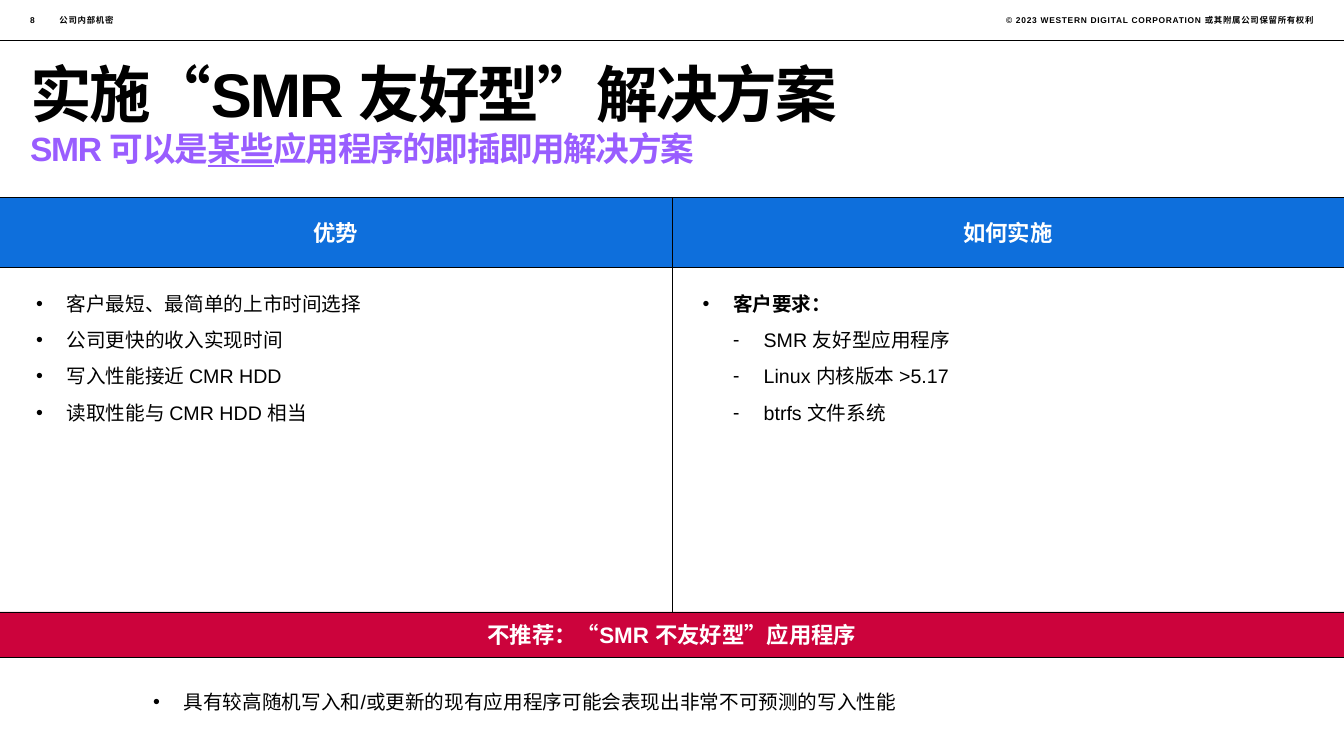
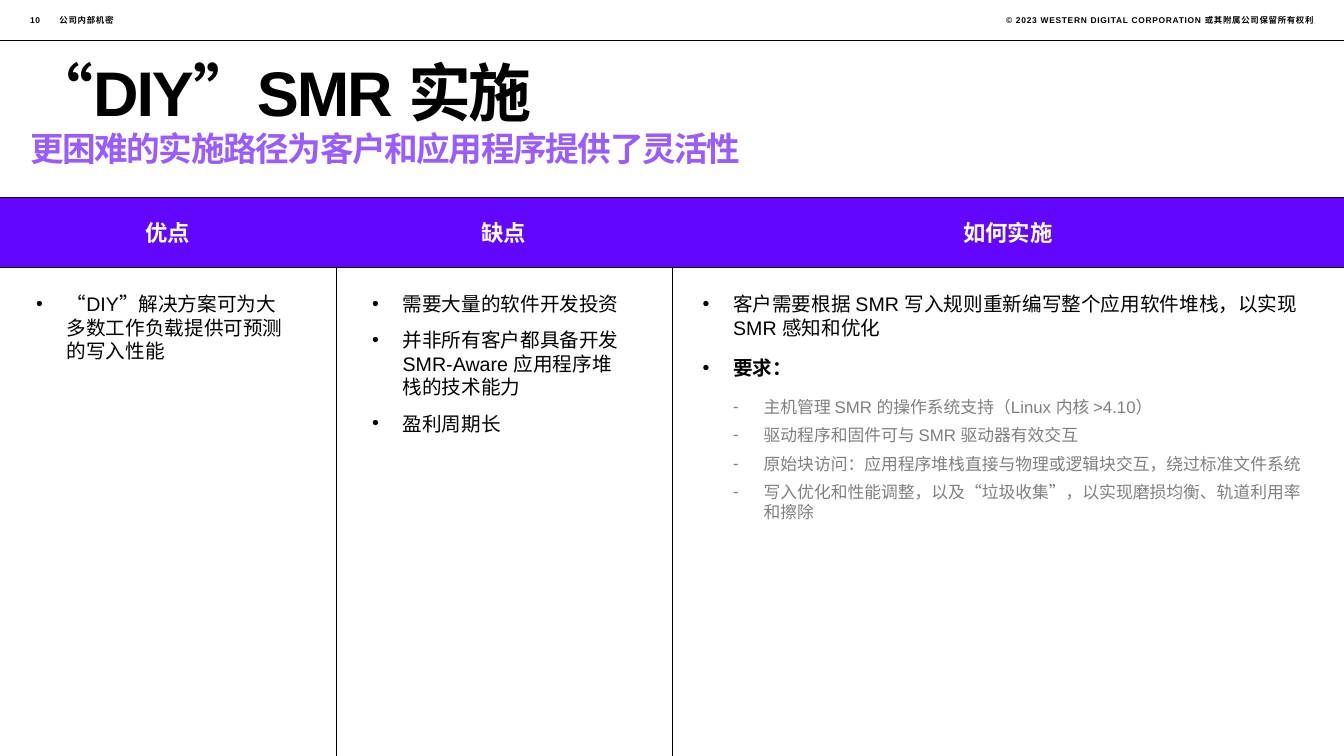
from lxml.etree import SubElement
from pptx import Presentation
from pptx.dml.color import RGBColor
from pptx.enum.lang import MSO_LANGUAGE_ID
from pptx.enum.shapes import MSO_CONNECTOR, MSO_SHAPE
from pptx.enum.text import MSO_ANCHOR, PP_ALIGN
from pptx.oxml.ns import qn
from pptx.util import Cm, Pt

BLACK = RGBColor(0x00, 0x00, 0x00)
WHITE = RGBColor(0xFF, 0xFF, 0xFF)
GRAY = RGBColor(0x80, 0x80, 0x80)
BLUE = RGBColor(0x0E, 0x6F, 0xDC)
VIOLET = RGBColor(0x62, 0x06, 0xFF)
LILAC = RGBColor(0x99, 0x5D, 0xFF)
RED = RGBColor(0xCC, 0x03, 0x3C)
FONT = "Arial"

# Layout in centimetres
WIDTH, HEIGHT = 33.87, 19.05
MARGIN = 0.76
CONTENT_WIDTH = WIDTH - 2 * MARGIN
TOP_RULE = 1.02
HEADER_TOP, HEADER_HEIGHT = 4.98, 1.75
HEADER_BOTTOM = HEADER_TOP + HEADER_HEIGHT
LIST_TOP = 7.23
BAND_TOP, BAND_HEIGHT = 15.42, 1.14
INSET_X, INSET_Y = 0.25, 0.13
INDENT = 0.77

CONFIDENTIAL = "公司内部机密"
COPYRIGHT = "© 2023 WESTERN DIGITAL CORPORATION 或其附属公司保留所有权利"

# Bullet styles: level, size, colour, bold, space after
STYLES = {
    "point": (0, 14, BLACK, False, 9),
    "lead": (0, 14, BLACK, True, 9),
    "sub": (1, 14, BLACK, False, 9),
    "wide point": (0, 14, BLACK, False, 12),
    "wide lead": (0, 14, BLACK, True, 12),
    "gray sub": (1, 12, GRAY, False, 6),
}
BULLETS = ("•", "⁃")

# Columns: heading, width in quarters of the slide, list height, bullets
SLIDES = [
    {
        "number": "8",
        "title": "实施“SMR 友好型”解决方案",
        "title_size": 44,
        "subtitle": [("SMR 可以是", False), ("某些", True),
                     ("应用程序的即插即用解决方案", False)],
        "color": BLUE,
        "divider_top": HEADER_TOP,
        "columns": [
            ("优势", 2, 4.52, [
                ("point", "客户最短、最简单的上市时间选择"),
                ("point", "公司更快的收入实现时间"),
                ("point", "写入性能接近 CMR HDD"),
                ("point", "读取性能与 CMR HDD 相当"),
            ]),
            ("如何实施", 2, 6.3, [
                ("lead", "客户要求："),
                ("sub", "SMR 友好型应用程序"),
                ("sub", "Linux 内核版本 >5.17"),
                ("sub", "btrfs 文件系统"),
            ]),
        ],
        "warning": ("不推荐：“SMR 不友好型”应用程序", [
            ("point", "具有较高随机写入和/或更新的现有应用程序可能会表现出非常不可预测的写入性能"),
        ]),
    },
    {
        "number": "10",
        "title": "“DIY”SMR 实施",
        "title_size": 45,
        "subtitle": [("更困难的实施路径为客户和应用程序提供了灵活性", False)],
        "color": VIOLET,
        "divider_top": HEADER_BOTTOM,
        "columns": [
            ("优点", 1, 2.64, [
                ("point", "“DIY”解决方案可为大多数工作负载提供可预测的写入性能"),
            ]),
            ("缺点", 1, 5.69, [
                ("point", "需要大量的软件开发投资"),
                ("point", "并非所有客户都具备开发 SMR-Aware 应用程序堆栈的技术能力"),
                ("point", "盈利周期长"),
            ]),
            ("如何实施", 2, 8.66, [
                ("wide point", "客户需要根据 SMR 写入规则重新编写整个应用软件堆栈，以实现 SMR 感知和优化"),
                ("wide lead", "要求："),
                ("gray sub", "主机管理 SMR 的操作系统支持（Linux 内核 >4.10）"),
                ("gray sub", "驱动程序和固件可与 SMR 驱动器有效交互"),
                ("gray sub", "原始块访问：应用程序堆栈直接与物理或逻辑块交互，绕过标准文件系统"),
                ("gray sub", "写入优化和性能调整，以及“垃圾收集”，以实现磨损均衡、轨道利用率和擦除"),
            ]),
        ],
        "warning": None,
    },
]


def add_run(paragraph, text, size, color, bold=True, spacing=0, underline=False):
    run = paragraph.add_run()
    run.text = text
    font = run.font
    font.name, font.size, font.bold = FONT, Pt(size), bold
    font.color.rgb = color
    font.language_id = MSO_LANGUAGE_ID.SIMPLIFIED_CHINESE
    if underline:
        font.underline = True
    if spacing:
        run.font._element.set("spc", str(int(spacing * 100)))


def add_box(slide, left, top, width, height, anchor=MSO_ANCHOR.TOP, insets=(0, 0)):
    box = slide.shapes.add_textbox(Cm(left), Cm(top), Cm(width), Cm(height))
    frame = box.text_frame
    frame.word_wrap = True
    frame.vertical_anchor = anchor
    frame.margin_left = frame.margin_right = Cm(insets[0])
    frame.margin_top = frame.margin_bottom = Cm(insets[1])
    return frame


def add_rule(slide, x1, y1, x2, y2):
    rule = slide.shapes.add_connector(
        MSO_CONNECTOR.STRAIGHT, Cm(x1), Cm(y1), Cm(x2), Cm(y2))
    rule.line.color.rgb = BLACK
    rule.line.width = Pt(0.5)
    SubElement(rule._element.spPr, qn("a:effectLst"))
    return rule


def add_band(slide, left, top, width, height, color, text):
    band = slide.shapes.add_shape(
        MSO_SHAPE.RECTANGLE, Cm(left), Cm(top), Cm(width), Cm(height))
    band.shadow.inherit = False
    band.fill.solid()
    band.fill.fore_color.rgb = color
    band.line.fill.background()
    band.text_frame.vertical_anchor = MSO_ANCHOR.MIDDLE
    paragraph = band.text_frame.paragraphs[0]
    paragraph.alignment = PP_ALIGN.CENTER
    add_run(paragraph, text, 16, WHITE)
    return band


def add_bullets(slide, left, top, width, height, items):
    frame = add_box(slide, left, top, width, height, insets=(INSET_X, INSET_Y))
    for index, (style, text) in enumerate(items):
        level, size, color, bold, space_after = STYLES[style]
        paragraph = frame.add_paragraph() if index else frame.paragraphs[0]
        paragraph.level = level
        paragraph.space_after = Pt(space_after)
        properties = paragraph._p.get_or_add_pPr()
        properties.set("marL", str(Cm(INDENT * (level + 1))))
        properties.set("indent", str(-Cm(INDENT)))
        SubElement(properties, qn("a:buFont")).set("typeface", FONT)
        SubElement(properties, qn("a:buChar")).set("char", BULLETS[level])
        add_run(paragraph, text, size, color, bold)


def add_frame(slide, content):
    # Top line with number, confidentiality and copyright
    add_rule(slide, 0, TOP_RULE, WIDTH, TOP_RULE)
    for left, width, alignment, text in (
        (MARGIN, 0.6, PP_ALIGN.LEFT, content["number"]),
        (1.5, 4.2, PP_ALIGN.LEFT, CONFIDENTIAL),
        (17.48, 15.62, PP_ALIGN.RIGHT, COPYRIGHT),
    ):
        frame = add_box(slide, left, 0.38, width, 0.26, MSO_ANCHOR.MIDDLE)
        paragraph = frame.paragraphs[0]
        paragraph.alignment = alignment
        paragraph.line_spacing = Pt(7.5)
        add_run(paragraph, text, 6, BLACK, spacing=0.5)

    # Title and subtitle
    frame = add_box(slide, MARGIN, 1.57, CONTENT_WIDTH, 1.7, MSO_ANCHOR.BOTTOM)
    frame.paragraphs[0].line_spacing = 0.85
    add_run(frame.paragraphs[0], content["title"], content["title_size"], BLACK,
            spacing=-1.5)
    frame = add_box(slide, MARGIN, 3.33, CONTENT_WIDTH, 1.14)
    frame.paragraphs[0].line_spacing = 0.9
    for text, underline in content["subtitle"]:
        add_run(frame.paragraphs[0], text, 24, LILAC, spacing=-1, underline=underline)


def add_columns(slide, content, band):
    left = 0
    dividers = []
    for heading, quarters, height, items in content["columns"]:
        width = WIDTH * quarters / 4
        is_last = left + width > WIDTH - 0.1
        pad_left, pad_right = (0.52, 0.48) if is_last else (0.66, 0.77)
        add_band(slide, left, HEADER_TOP, width, HEADER_HEIGHT, content["color"], heading)
        add_bullets(slide, left + pad_left, LIST_TOP, width - pad_left - pad_right,
                    height, items)
        if left:
            dividers.append(left)
        left += width

    # Rules above and below the headings, dividers between the columns
    for y in (HEADER_TOP, HEADER_BOTTOM):
        add_rule(slide, 0, y, WIDTH, y)
    for x in dividers:
        bottom = BAND_TOP if band else HEIGHT
        divider = add_rule(slide, x, content["divider_top"], x, bottom)
        if band:
            divider.end_connect(band, 0)


def add_warning(slide, warning):
    heading, items = warning
    band = add_band(slide, 0, BAND_TOP, WIDTH, BAND_HEIGHT, RED, heading)
    for y in (BAND_TOP, BAND_TOP + BAND_HEIGHT):
        add_rule(slide, 0, y, WIDTH, y)
    add_bullets(slide, 3.61, 17.25, 26.77, 0.86, items)
    return band


def main():
    presentation = Presentation()
    presentation.slide_width, presentation.slide_height = Cm(WIDTH), Cm(HEIGHT)
    for content in SLIDES:
        slide = presentation.slides.add_slide(presentation.slide_layouts[6])
        add_frame(slide, content)
        band = add_warning(slide, content["warning"]) if content["warning"] else None
        add_columns(slide, content, band)
    presentation.save("out.pptx")


if __name__ == "__main__":
    main()
